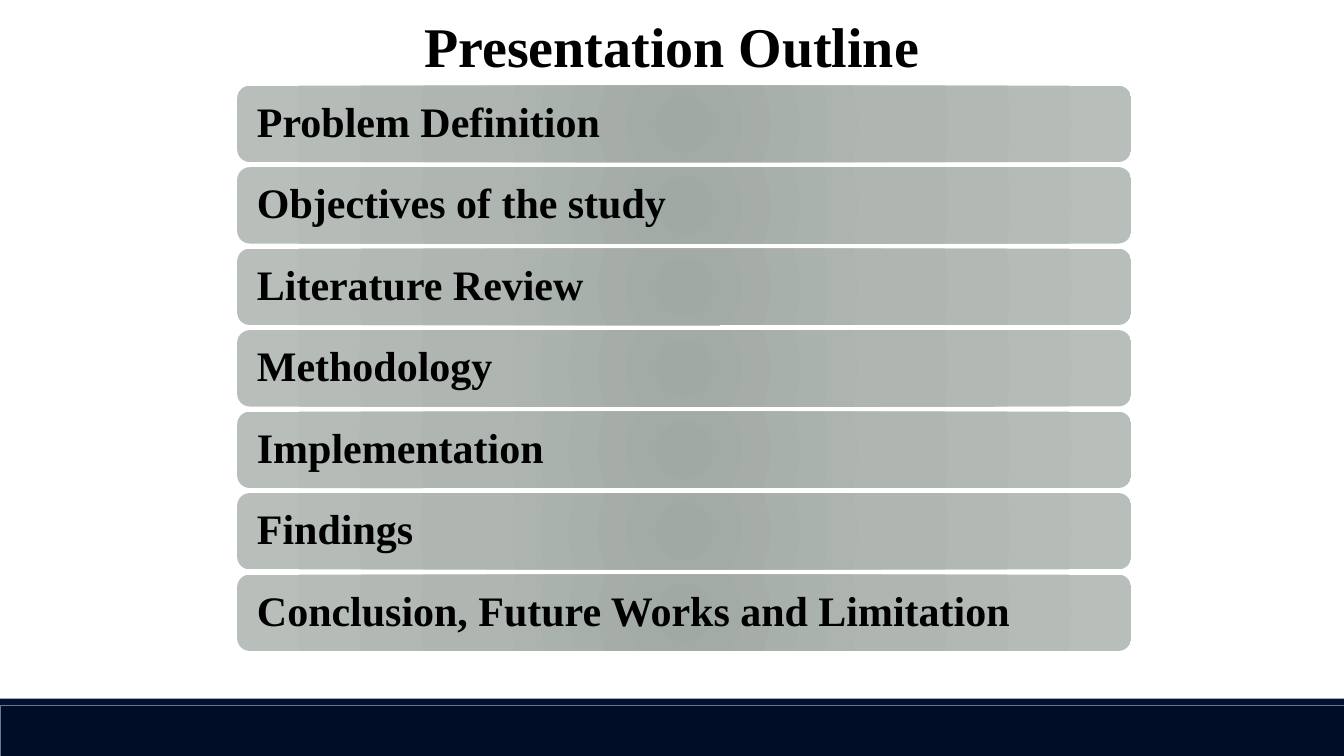
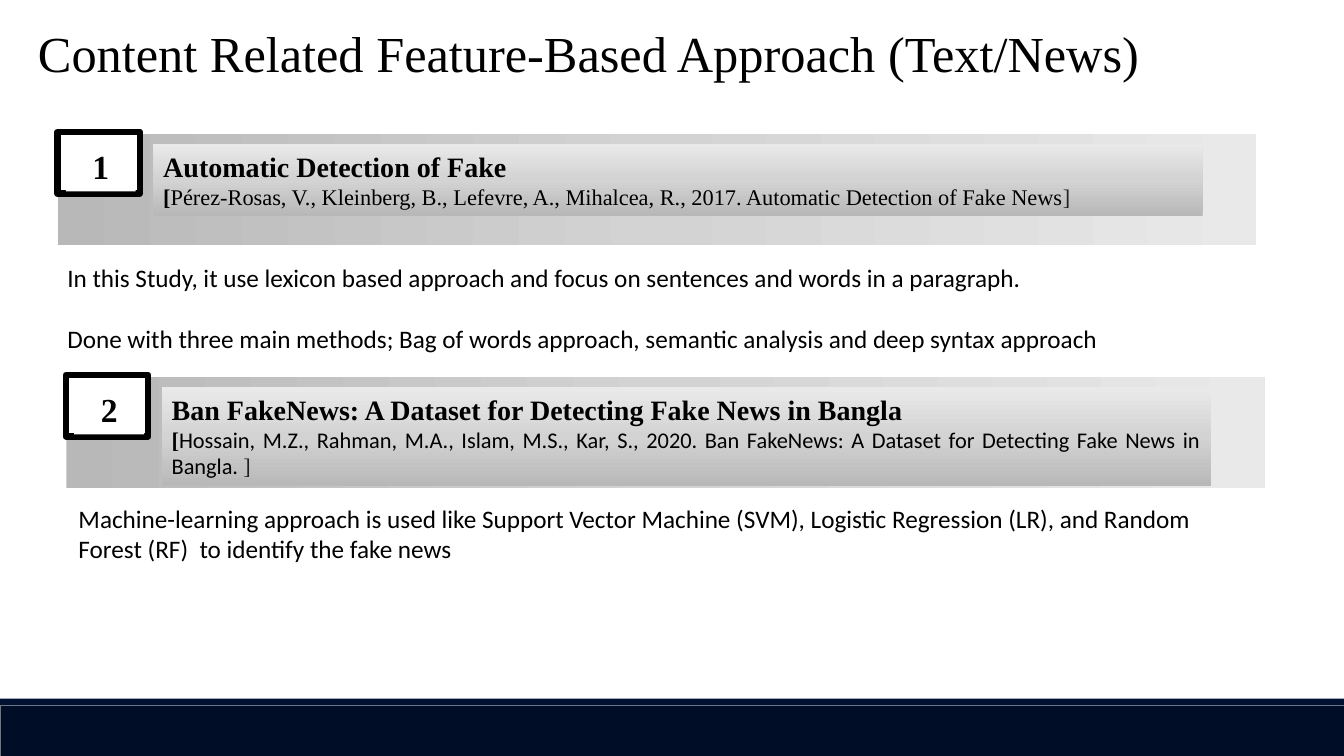
from dataclasses import dataclass

from pptx import Presentation
from pptx.dml.color import RGBColor
from pptx.enum.shapes import MSO_SHAPE as Shape
from pptx.enum.text import MSO_ANCHOR as Anchor, PP_ALIGN as Align
from pptx.oxml import parse_xml
from pptx.oxml.ns import nsdecls, qn
from pptx.util import Pt

COLORS = {
    "text": "000000",
    "bracket": "222222",
    "white": "FFFFFF",
    "footer": "000D26",
    "footer_strip": "001132",
    "footer_edge": "6E7686",
}
SAGE = ((0, "A1A9A4"), (45, "AFB6B2"), (100, "B8BFBB"))
GRAY = ((0, "B8B8B8"), (50, "D3D3D3"), (100, "E9E9E9"))
CIRCLE = ('<a:path path="circle">'
          '<a:fillToRect l="50000" t="50000" r="50000" b="50000"/></a:path>')
RIGHTWARD = '<a:lin ang="0" scaled="0"/>'
UPWARD = '<a:lin ang="16200000" scaled="0"/>'

SERIF, SANS = "Times New Roman", "Calibri"
WIDTH, HEIGHT = 960, 540

TOPICS = (
    "Problem Definition",
    "Objectives of the study",
    "Literature Review",
    "Methodology",
    "Implementation",
    "Findings",
    "Conclusion, Future Works and Limitation",
)


@dataclass
class Box:
    x: float
    y: float
    w: float
    h: float

    def points(self) -> tuple:
        return Pt(self.x), Pt(self.y), Pt(self.w), Pt(self.h)


@dataclass
class Study:
    x: float
    y: float
    number: str
    title: str
    citation: str
    citation_font: str
    height: float


STUDIES = (
    Study(41, 94.3, "1", "Automatic Detection of Fake",
          "Pérez-Rosas, V., Kleinberg, B., Lefevre, A., Mihalcea, R., 2017. "
          "Automatic Detection of Fake News", SERIF, 51.1),
    Study(47, 267.8, "2",
          "Ban FakeNews: A Dataset for Detecting Fake News in Bangla",
          "Hossain, M.Z., Rahman, M.A., Islam, M.S., Kar, S., 2020. "
          "Ban FakeNews: A Dataset for Detecting Fake News in Bangla. ",
          SANS, 70.6),
)


def rgb(name: str) -> RGBColor:
    return RGBColor.from_string(COLORS[name])


def set_font(font, size: float, name: str = SERIF, bold: bool = False,
             color: str = "text") -> None:
    font.size, font.name, font.bold = Pt(size), name, bold
    font.color.rgb = rgb(color)


def add_panel(s, box: Box, fill: str | None = None, line: str | None = None,
              weight: float = 0, kind=Shape.RECTANGLE):
    sp = s.shapes.add_shape(kind, *box.points())
    sp.shadow.inherit = False
    if fill:
        sp.fill.solid()
        sp.fill.fore_color.rgb = rgb(fill)
    else:
        sp.fill.background()
    if line:
        sp.line.color.rgb = rgb(line)
        sp.line.width = Pt(weight)
    else:
        sp.line.fill.background()
    return sp


def add_gradient_panel(s, box: Box, stops: tuple, direction: str,
                       kind=Shape.RECTANGLE):
    sp = add_panel(s, box, kind=kind)
    marks = "".join(
        f'<a:gs pos="{pos * 1000}"><a:srgbClr val="{color}"/></a:gs>'
        for pos, color in stops)
    gradient = parse_xml(
        f'<a:gradFill {nsdecls("a")} rotWithShape="1">'
        f'<a:gsLst>{marks}</a:gsLst>{direction}</a:gradFill>')
    props = sp._element.spPr
    props.replace(props.find(qn("a:noFill")), gradient)
    return sp


def add_text(s, box: Box, lines: tuple, size: float, name: str = SERIF,
             bold: bool = False, align=Align.LEFT, gap: float = 0,
             wrap: bool = True) -> None:
    tf = s.shapes.add_textbox(*box.points()).text_frame
    tf.word_wrap = wrap
    for i, line in enumerate(lines):
        p = tf.add_paragraph() if i else tf.paragraphs[0]
        p.text, p.alignment = line, align
        p.space_after = Pt(gap if i < len(lines) - 1 else 0)
        set_font(p.font, size, name, bold)


def add_slide(prs):
    """Add a blank slide with the shared footer bands."""
    s = prs.slides.add_slide(prs.slide_layouts[6])
    add_panel(s, Box(0, 499, WIDTH, 5), "footer_strip")
    add_panel(s, Box(0, 504, WIDTH, HEIGHT - 504), "footer", "footer_edge", 0.25)
    return s


def add_topic(s, row: int, topic: str) -> None:
    sp = add_gradient_panel(s, Box(169.4, 61.2 + row * 58.2, 638.6, 54.6),
                            SAGE, CIRCLE, Shape.ROUNDED_RECTANGLE)
    tf = sp.text_frame
    tf.margin_left = tf.margin_right = Pt(11.5)
    tf.vertical_anchor = Anchor.MIDDLE
    p = tf.paragraphs[0]
    p.text, p.alignment, p.line_spacing = topic, Align.LEFT, 0.9
    set_font(p.font, 30, bold=True)


def add_study(s, study: Study) -> None:
    x, y = study.x, study.y
    add_gradient_panel(s, Box(x + 0.4, y + 1.8, 856, 79.2), GRAY, RIGHTWARD)
    add_panel(s, Box(x, y, 59, 44), "white", "text", 4.5)

    tf = add_panel(s, Box(x + 6, y + 6.5, 50, 36), "white").text_frame
    tf.vertical_anchor = Anchor.TOP
    p = tf.paragraphs[0]
    p.text, p.alignment = study.number, Align.CENTER
    set_font(p.font, 24, bold=True)

    tf = add_gradient_panel(s, Box(x + 68.5, y + 8.7, 749.5, study.height),
                            GRAY, UPWARD).text_frame
    tf.word_wrap = True
    tf.vertical_anchor = Anchor.TOP
    p = tf.paragraphs[0]
    p.text, p.alignment = study.title, Align.JUSTIFY
    set_font(p.font, 20, bold=True)

    p = tf.add_paragraph()
    p.alignment = Align.JUSTIFY
    for text, name, bold, color in (
            ("[", SERIF, True, "text"),
            (study.citation, study.citation_font, False, "text"),
            ("]", SERIF, False, "bracket")):
        r = p.add_run()
        r.text = text
        set_font(r.font, 16, name, bold, color)


def build_outline(prs) -> None:
    s = add_slide(prs)
    add_text(s, Box(293, 5, 373.7, 55.4), ("Presentation Outline",), 40,
             bold=True, align=Align.CENTER)
    for row, topic in enumerate(TOPICS):
        add_topic(s, row, topic)


def build_studies(prs) -> None:
    s = add_slide(prs)
    add_text(s, Box(20, 12.2, 810, 51),
             ("Content Related Feature-Based Approach (Text/News)",), 36,
             wrap=False)
    add_text(s, Box(49, 355.7, 839.5, 51),
             ("Machine-learning approach is used like Support Vector Machine "
              "(SVM), Logistic Regression (LR), and Random Forest (RF)  to "
              "identify the fake news",), 18, SANS)
    add_text(s, Box(41, 183.6, 857, 73),
             ("In this Study, it use lexicon based approach and focus on "
              "sentences and words in a paragraph.",
              "Done with three main methods; Bag of words approach, semantic "
              "analysis and deep syntax approach"), 18, SANS, gap=22)
    for study in STUDIES:
        add_study(s, study)


def main() -> None:
    prs = Presentation()
    prs.slide_width, prs.slide_height = Pt(WIDTH), Pt(HEIGHT)
    build_outline(prs)
    build_studies(prs)
    prs.save("out.pptx")


if __name__ == "__main__":
    main()
